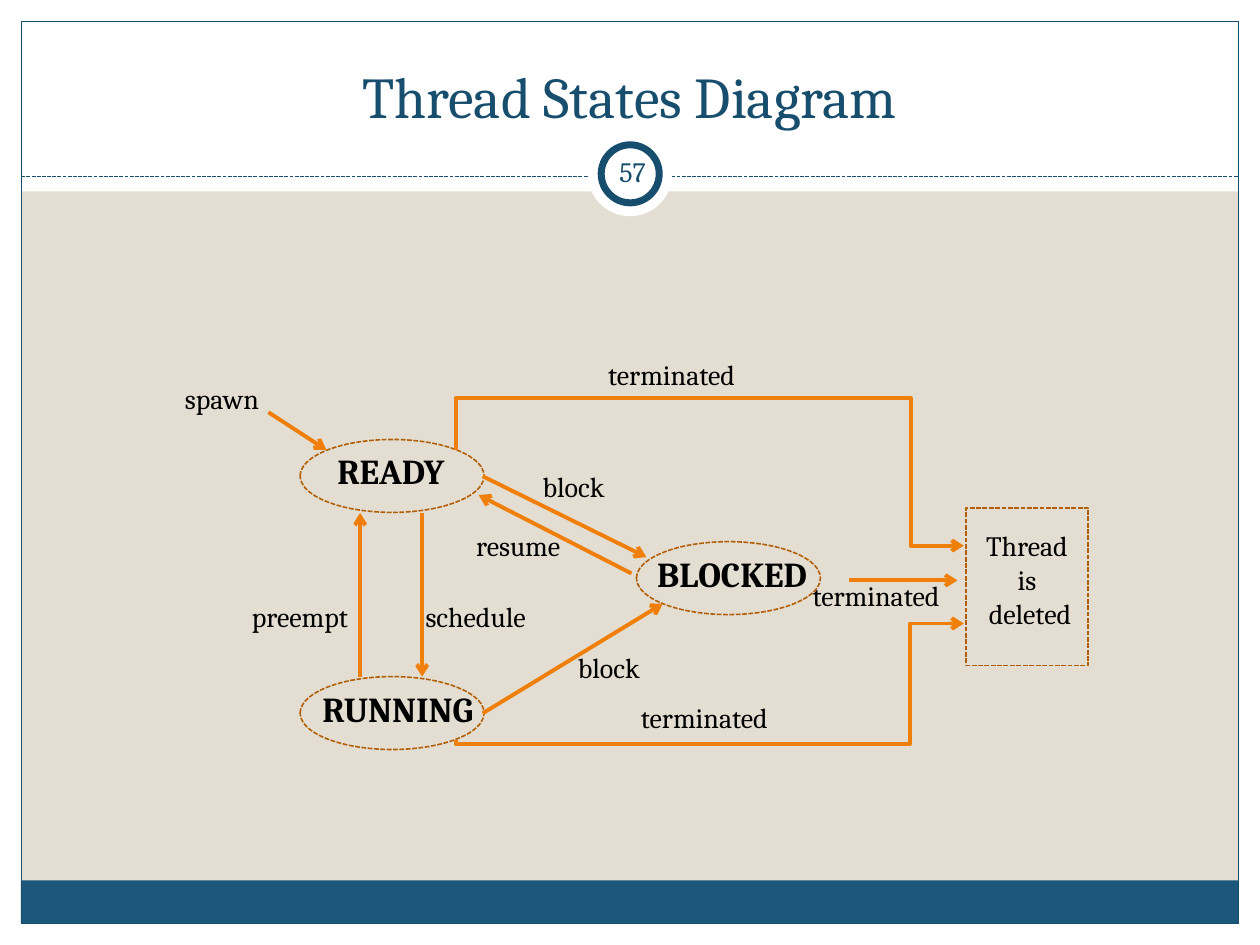
from dataclasses import dataclass

from lxml import etree
from pptx import Presentation
from pptx.dml.color import RGBColor
from pptx.enum import dml, shapes, text
from pptx.oxml import ns
from pptx.util import Cm, Pt

FONT = "Cambria"
WHITE, BLACK, NAVY, BLUE = "FFFFFF", "000000", "184E6D", "1B587C"
SAND, ORANGE, BROWN = "E3DED1", "F07F09", "B25E07"
RECT, OVAL = shapes.MSO_SHAPE.RECTANGLE, shapes.MSO_SHAPE.OVAL
LEFT, CENTER = text.PP_ALIGN.LEFT, text.PP_ALIGN.CENTER
TOP, MIDDLE, BOTTOM = text.MSO_ANCHOR.TOP, text.MSO_ANCHOR.MIDDLE, text.MSO_ANCHOR.BOTTOM
STATE_W, STATE_H = 3.71, 1.47


@dataclass
class Box:
    x: float
    y: float
    w: float
    h: float
    kind: int = RECT
    fill: str = ""
    line: str = ""
    width: float = 0.75
    dashed: bool = False


@dataclass
class State:
    name: str
    x: float
    y: float
    text_x: float
    text_y: float
    text_w: float


@dataclass
class Label:
    words: str
    x: float
    y: float
    w: float = 3.6
    h: float = 1.09
    size: float = 16
    color: str = BLACK
    bold: bool = False
    align: int = LEFT
    anchor: int = TOP


def rgb(color: str) -> RGBColor:
    return RGBColor.from_string(color)


def style_line(line, color: str, width: float, dashed: bool = False) -> None:
    line.color.rgb = rgb(color)
    line.width = Pt(width)
    if dashed:
        line.dash_style = dml.MSO_LINE.SQUARE_DOT


def draw_box(s, box: Box) -> None:
    sp = s.shapes.add_shape(box.kind, Cm(box.x), Cm(box.y), Cm(box.w), Cm(box.h))
    sp.shadow.inherit = False
    if box.fill:
        sp.fill.solid()
        sp.fill.fore_color.rgb = rgb(box.fill)
    else:
        sp.fill.background()
    if box.line:
        style_line(sp.line, box.line, box.width, box.dashed)
    else:
        sp.line.fill.background()


def write(sp, label: Label) -> None:
    sp.left, sp.top, sp.width, sp.height = (Cm(v) for v in (label.x, label.y, label.w, label.h))
    tf = sp.text_frame
    tf.text = label.words
    tf.word_wrap = True
    tf.auto_size = text.MSO_AUTO_SIZE.NONE
    tf.vertical_anchor = label.anchor
    for p in tf.paragraphs:
        p.alignment = label.align
        p.font.name = FONT
        p.font.size = Pt(label.size)
        p.font.bold = label.bold
        p.font.color.rgb = rgb(label.color)


def draw_label(s, label: Label):
    sp = s.shapes.add_textbox(0, 0, 0, 0)
    write(sp, label)
    return sp


def draw_line(s, start: tuple[float, float], end: tuple[float, float]):
    c = s.shapes.add_connector(shapes.MSO_CONNECTOR.STRAIGHT, *(Cm(v) for v in start + end))
    etree.SubElement(c._element.spPr, ns.qn("a:effectLst"))
    return c


def draw_arrow(s, points: list[tuple[float, float]]) -> None:
    if len(points) == 2:
        sp = draw_line(s, *points)
    else:
        start, *rest = [(Cm(x), Cm(y)) for x, y in points]
        builder = s.shapes.build_freeform(*start)
        builder.add_line_segments(rest, close=False)
        sp = builder.convert_to_shape()
        sp.fill.background()
        sp.shadow.inherit = False
    style_line(sp.line, ORANGE, 2.25)
    etree.SubElement(sp.line._get_or_add_ln(), ns.qn("a:tailEnd"), type="arrow")


FRAME = [
    Box(0, 18.62, 25.4, 0.43, fill=WHITE),
    Box(0, 0, 25.4, 3.86, fill=WHITE),
    Box(0, 0, 0.43, 19.05, fill=WHITE),
    Box(24.97, 0, 0.43, 19.05, fill=WHITE),
    Box(0.42, 17.75, 24.54, 0.87, fill=BLUE),
    Box(0.43, 0.43, 24.54, 18.19, line=NAVY),
]
BADGE = [
    Box(11.85, 2.66, 1.7, 1.7, OVAL, WHITE),
    Box(12.12, 2.92, 1.17, 1.17, OVAL, WHITE, NAVY, 4),
]
STATES = [
    State("BLOCKED", 12.83, 10.92, 13, 11.02, 4.27),
    State("READY", 6.05, 8.86, 6.55, 8.94, 3.28),
    State("RUNNING", 6.05, 13.64, 6.25, 13.74, 4.27),
]
ARROWS = [
    [(5.41, 8.31), (6.58, 9.07)],
    [(8.51, 10.34), (8.51, 13.64)],
    [(7.26, 13.64), (7.26, 10.34)],
    [(12.73, 11.56), (9.65, 9.98)],
    [(9.73, 9.6), (13.03, 11.23)],
    [(9.73, 14.38), (13.36, 12.17)],
    [(9.19, 9.07), (9.19, 8.03), (18.36, 8.03), (18.36, 11), (19.43, 11)],
    [(9.19, 14.91), (9.19, 15), (18.34, 15), (18.34, 12.57), (19.43, 12.57)],
    [(17.12, 11.7), (19.3, 11.7)],
]
LABELS = [
    Label("schedule", 8.33, 11.96, 3.02),
    Label("preempt", 4.83, 11.96, 2.97),
    Label("block", 10.69, 9.35, 2.18),
    Label("resume", 9.35, 10.54, 2.69),
    Label("block", 11.4, 12.98, 2.44),
    Label("spawn", 3.48, 7.57, 3.02),
    Label("terminated", 12.01, 7.09),
    Label("terminated", 12.67, 14),
    Label("terminated", 16.13, 11.53),
    Label("Thread \nis \ndeleted", 19.43, 10.54, 2.67, 2.46, align=CENTER),
]

prs = Presentation()
prs.slide_width, prs.slide_height = Cm(25.4), Cm(19.05)
s = prs.slides.add_slide(prs.slide_layouts[5])
s.background.fill.solid()
s.background.fill.fore_color.rgb = rgb(SAND)

for box in FRAME:
    draw_box(s, box)
style_line(draw_line(s, (0.43, 3.56), (24.97, 3.56)).line, NAVY, 0.75, True)
for box in BADGE:
    draw_box(s, box)

title = s.shapes.title
write(title, Label("Thread States Diagram", 0.84, 0.64, 23.7, 2.11, 33, NAVY,
                   align=CENTER, anchor=BOTTOM))
s.shapes._spTree.append(title._element)
number = draw_label(s, Label("57", 12.12, 2.84, 1.27, 1.22, 16, NAVY,
                             align=CENTER, anchor=MIDDLE))
tf = number.text_frame
tf.margin_left = tf.margin_right = tf.margin_top = tf.margin_bottom = Cm(0.13)

for state in STATES:
    draw_box(s, Box(state.x, state.y, STATE_W, STATE_H, OVAL, line=BROWN, width=0.9, dashed=True))
    draw_label(s, Label(state.name, state.text_x, state.text_y, state.text_w, 1.37, 20, bold=True))
draw_box(s, Box(19.48, 10.24, 2.46, 3.18, line=BROWN, width=0.9, dashed=True))
for points in ARROWS:
    draw_arrow(s, points)
for label in LABELS:
    draw_label(s, label)

prs.save("out.pptx")
